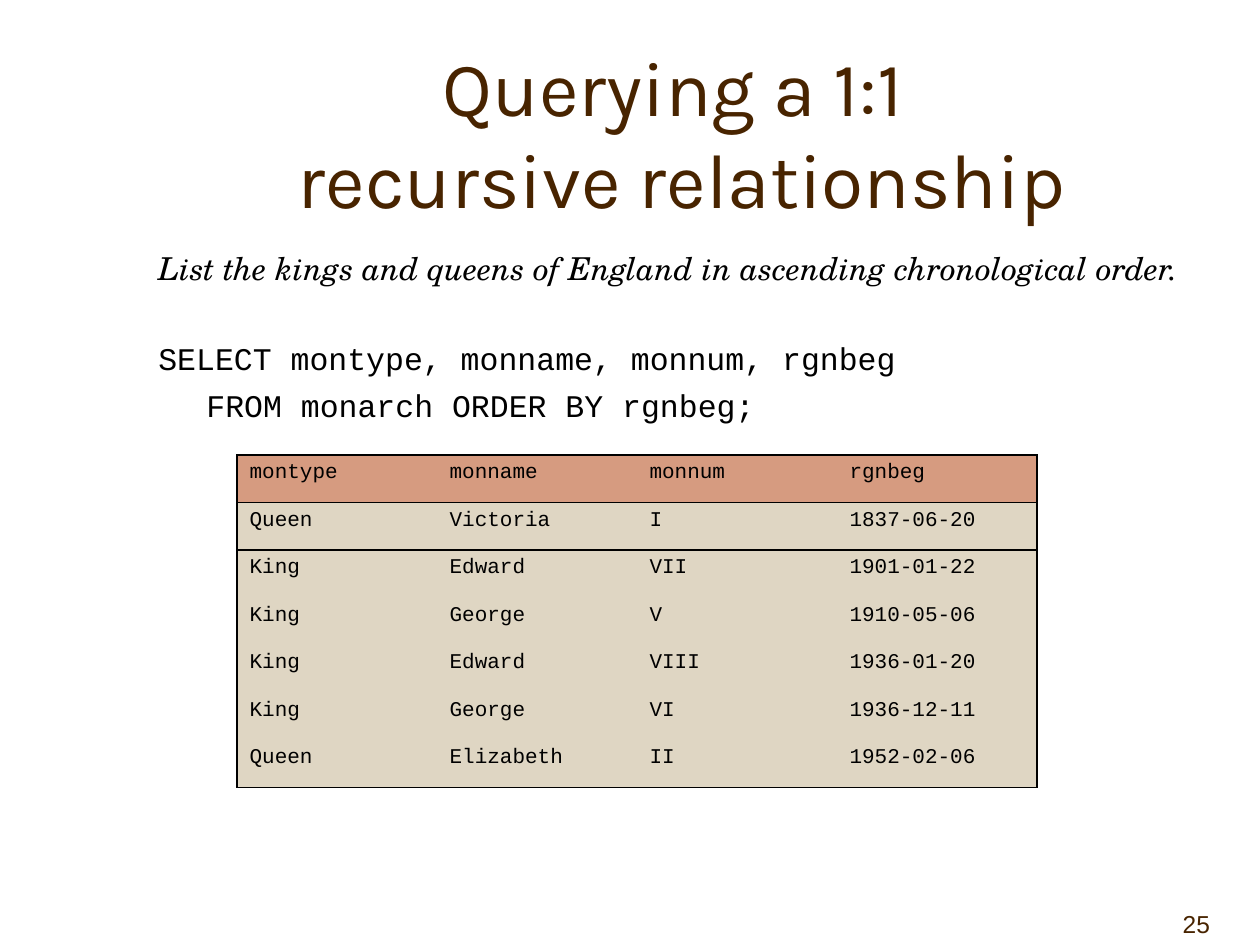
from dataclasses import dataclass

from lxml import etree
from pptx import Presentation
from pptx.dml.color import RGBColor
from pptx.enum.text import MSO_ANCHOR, PP_ALIGN
from pptx.oxml.ns import qn
from pptx.util import Emu, Pt

PX_PER_INCH = 126
BROWN = RGBColor(0x48, 0x24, 0x00)
BLACK = RGBColor(0x00, 0x00, 0x00)
HEADER_FILL = RGBColor(0xD6, 0x9B, 0x80)
BODY_FILL = RGBColor(0xDF, 0xD6, 0xC3)
LEFT, CENTER, RIGHT = PP_ALIGN.LEFT, PP_ALIGN.CENTER, PP_ALIGN.RIGHT
TOP, MIDDLE, BOTTOM = MSO_ANCHOR.TOP, MSO_ANCHOR.MIDDLE, MSO_ANCHOR.BOTTOM
NO_GRID_STYLE = "{2D5ABB26-0587-4C30-8999-92F81FD0307C}"

ROWS = [
    ("montype", "monname", "monnum", "rgnbeg"),
    ("Queen", "Victoria", "I", "1837-06-20"),
    ("King", "Edward", "VII", "1901-01-22"),
    ("King", "George", "V", "1910-05-06"),
    ("King", "Edward", "VIII", "1936-01-20"),
    ("King", "George", "VI", "1936-12-11"),
    ("Queen", "Elizabeth", "II", "1952-02-06"),
]


@dataclass
class Line:
    text: str
    font: str
    size: int
    color: RGBColor = BLACK
    align: PP_ALIGN = LEFT
    italic: bool = False
    before: float = 0  # points
    indent: int = 0  # px


@dataclass
class Box:
    left: int
    top: int
    width: int
    height: int
    anchor: MSO_ANCHOR
    lines: list[Line]
    right_inset: int = 13


def px(n: int) -> Emu:
    return Emu(round(n * 914400 / PX_PER_INCH))


def write_line(p, line: Line) -> None:
    p.text = line.text
    p.alignment = line.align
    p.space_before = Pt(line.before)
    p.font.name = line.font
    p.font.size = Pt(line.size)
    p.font.italic = line.italic
    p.font.color.rgb = line.color
    if line.indent:
        p._p.get_or_add_pPr().set("marL", str(px(line.indent)))


def add_box(slide, box: Box) -> None:
    sp = slide.shapes.add_textbox(px(box.left), px(box.top), px(box.width), px(box.height))
    tf = sp.text_frame
    tf.word_wrap = True
    tf.vertical_anchor = box.anchor
    tf.margin_right = px(box.right_inset)
    for i, line in enumerate(box.lines):
        write_line(tf.add_paragraph() if i else tf.paragraphs[0], line)


def add_border(cell, side: str) -> None:
    ln = etree.SubElement(cell._tc.get_or_add_tcPr(), qn(f"a:ln{side}"), w=str(Pt(1)))
    fill = etree.SubElement(ln, qn("a:solidFill"))
    etree.SubElement(fill, qn("a:srgbClr"), val=str(BLACK))


def add_monarch_table(slide, left: int, top: int, width: int, height: int) -> None:
    last_row, last_col = len(ROWS) - 1, len(ROWS[0]) - 1
    table = slide.shapes.add_table(
        len(ROWS), len(ROWS[0]), px(left), px(top), px(width), px(height)
    ).table
    table._tbl.tblPr.find(qn("a:tableStyleId")).text = NO_GRID_STYLE
    for r, row in enumerate(ROWS):
        for c, text in enumerate(row):
            cell = table.cell(r, c)
            # Outer frame, plus a rule between header and body
            sides = {"L": c == 0, "R": c == last_col, "T": r <= 1, "B": r in (0, last_row)}
            for side, drawn in sides.items():
                if drawn:
                    add_border(cell, side)
            cell.fill.solid()
            cell.fill.fore_color.rgb = BODY_FILL if r else HEADER_FILL
            write_line(cell.text_frame.paragraphs[0], Line(text, "Courier New", 12, before=2.4))


def main() -> None:
    prs = Presentation()
    prs.slide_width, prs.slide_height = px(1260), px(945)
    slide = prs.slides.add_slide(prs.slide_layouts[6])

    # Page number
    add_box(slide, Box(1134, 882, 126, 63, BOTTOM,
                       [Line("25", "Arial", 14, BROWN, RIGHT)], right_inset=50))

    # Title
    add_box(slide, Box(147, 53, 1071, 158, MIDDLE, [
        Line("Querying a 1:1 \vrecursive relationship", "Karla", 44, BROWN, CENTER),
    ]))

    # Question and SQL
    add_box(slide, Box(146, 243, 1071, 567, TOP, [
        Line("List the kings and queens of England in ascending chronological order.",
             "TeX Gyre Schola", 18, italic=True, before=4),
        Line("SELECT montype, monname, monnum, rgnbeg", "Courier New", 18, before=30),
        Line("FROM monarch ORDER BY rgnbeg;", "Courier New", 18, before=5, indent=48),
    ]))

    # Query result
    add_monarch_table(slide, 237, 455, 800, 333)

    prs.save("out.pptx")


if __name__ == "__main__":
    main()
